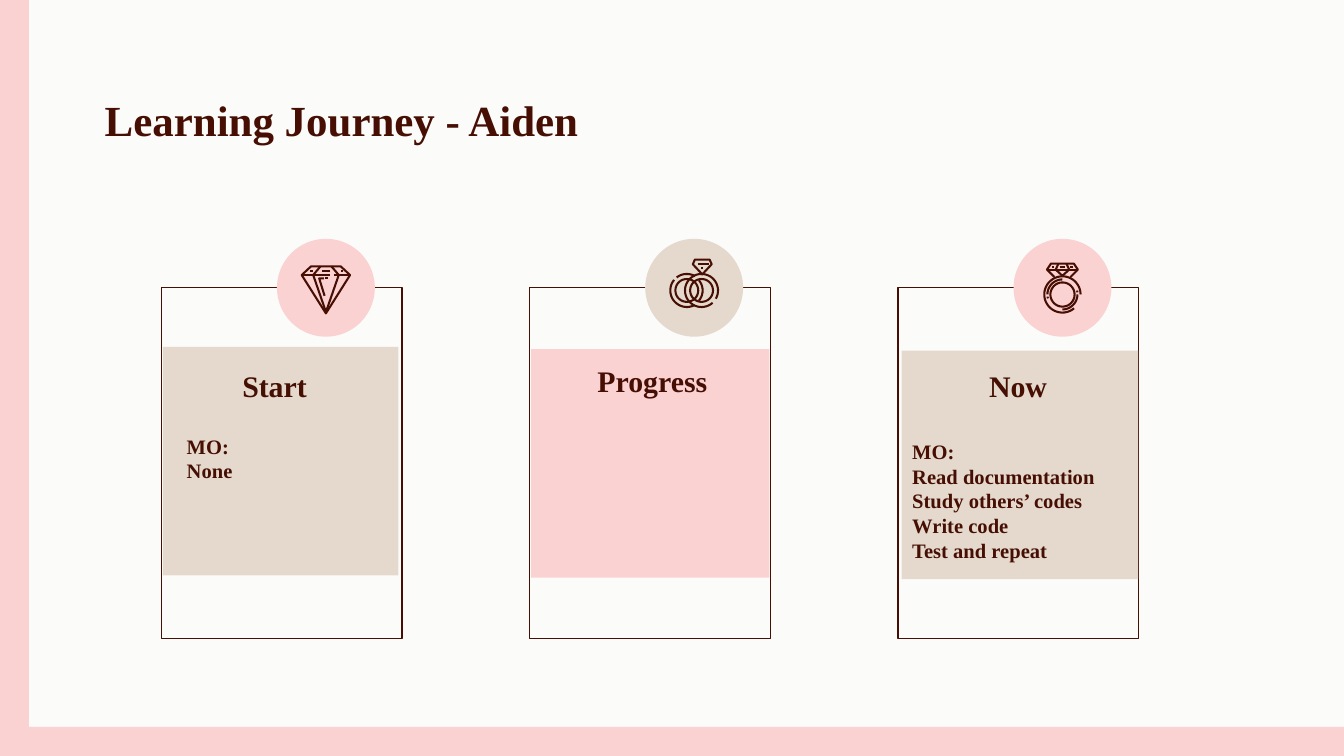
"""Build the learning journey slide with three milestone cards."""
from math import cos, radians, sin

from pptx import Presentation
from pptx import util as u
from pptx.dml.color import RGBColor
from pptx.enum import shapes, text

COLORS = {"paper": "FBFBFA", "pink": "FAD2D2", "sand": "E5D9CD", "brown": "470F03"}
FONT = "Times New Roman"
TITLE = "Learning Journey - Aiden"


def arc(x, y, radius, start=0, end=360):
    """Return points along an arc, in hundredths of an inch."""
    steps = max(6, (end - start) // 8)
    angles = [radians(start + (end - start) * i / steps) for i in range(steps + 1)]
    return [(x + radius * cos(a), y + radius * sin(a)) for a in angles]


DIAMOND = [
    [(-11, -16), (11, -16), (18, -9.5), (0, 19), (-18, -9.5), (-11, -16)],
    [(-4, -16), (-9.5, -9.5), (0, 18), (9.5, -9.5), (4, -16)],
    [(-18, -9.5), (3, -9.5)], [(6, -9.5), (18, -9.5)],
    [(-1.5, -7), (-5, -7), (-1, 6)], [(-0.5, -7), (1.5, -7)],
    [(-3, -12.5), (3, -12.5)], [(-12, -12.5), (-10, -12.5)], [(11, -12.5), (13, -12.5)],
]
RINGS = [
    [(0.5, -21), (11.5, -21), (13, -17.5), (6, -10), (-1, -17.5), (0.5, -21)],
    [(2.5, -17.5), (11, -17.5)], [(6, -15.5), (6, -14)],
    arc(-5.5, 2, 12.3, 62, 220), arc(-5.5, 2, 12.3, 232, 300),
    arc(-5.5, 2, 11.8, -40, 40), arc(-5.5, 2, 8.5),
    arc(5.5, 2, 12.3, 48, 390), arc(5.5, 2, 8.5),
]
RING = [
    [(-6, -8), (-11.5, -13.5), (-8.5, -18), (8.5, -18), (11.5, -13.5), (6, -8)],
    [(-11.5, -13.5), (11.5, -13.5)],
    [(-3, -18), (-5, -13.5), (0, -9), (5, -13.5), (3, -18)],
    [(-2, -15.5), (2, -15.5)], [(-7.5, -15.5), (-6, -15.5)], [(6, -15.5), (7.5, -15.5)],
    arc(0, 5, 13.5, 50, 360), arc(0, 5, 9),
    arc(0, 5, 11.2, 180, 270), arc(0, 5, 11.2, 0, 90),
    arc(0, 5, 11.2, 165, 172), arc(0, 5, 11.2, 345, 352),
]

STAGES = [
    {"heading": "Start", "heading_at": (3.4, 6.71), "panel": (3.08, 6.56, 4.45, 4.32),
     "panel_color": "sand", "badge_color": "pink", "icon": DIAMOND,
     "notes": ["MO:", "None"], "notes_at": (3.28, 7.95, 4.04, 3.58)},
    {"heading": "Progress", "heading_at": (10.54, 6.6), "panel": (10.04, 6.6, 4.5, 4.32),
     "panel_color": "pink", "badge_color": "sand", "icon": RINGS, "notes": []},
    {"heading": "Now", "heading_at": (17.45, 6.71), "panel": (17.04, 6.63, 4.47, 4.32),
     "panel_color": "sand", "badge_color": "pink", "icon": RING,
     "notes": ["MO:", "Read documentation", "Study others’ codes", "Write code",
               "Test and repeat"], "notes_at": (16.99, 8.05, 4.9, 3)},
]
WIDTH, HEIGHT, BAND = 25.4, 14.29, 0.55
CARD_LEFT, CARD_TOP, CARD_W, CARD_H, CARD_STEP = 3.05, 5.44, 4.55, 6.63, 6.96
BADGE, BADGE_OFFSET = 1.85, 3.11
ICON_UNIT = 0.0254

deck = Presentation()
deck.slide_width, deck.slide_height = u.Cm(WIDTH), u.Cm(HEIGHT)
slide = deck.slides.add_slide(deck.slide_layouts[6])


def color(name):
    return RGBColor.from_string(COLORS[name])


def style(shape, fill=None, line_width=None):
    shape.shadow.inherit = False
    if fill:
        shape.fill.solid()
        shape.fill.fore_color.rgb = color(fill)
    else:
        shape.fill.background()
    if line_width:
        shape.line.color.rgb = color("brown")
        shape.line.width = u.Pt(line_width)
    else:
        shape.line.fill.background()


def add_block(box, fill=None, line_width=None, kind=shapes.MSO_SHAPE.RECTANGLE):
    style(slide.shapes.add_shape(kind, *map(u.Cm, box)), fill, line_width)


def add_words(lines, box, size, align=text.PP_ALIGN.LEFT,
              anchor=text.MSO_ANCHOR.TOP, spacing=None):
    frame = slide.shapes.add_textbox(*map(u.Cm, box)).text_frame
    frame.word_wrap = True
    frame.vertical_anchor = anchor
    frame.margin_left = frame.margin_right = u.Cm(0.25)
    frame.margin_top = frame.margin_bottom = u.Cm(0.25)
    frame.text = "\n".join(lines)
    for paragraph in frame.paragraphs:
        paragraph.alignment = align
        paragraph.line_spacing = spacing
        for run in paragraph.runs:
            run.font.name, run.font.size, run.font.bold = FONT, u.Pt(size), True
            run.font.color.rgb = color("brown")


def add_icon(strokes, center_x, center_y):
    for stroke in strokes:
        points = [(u.Cm(center_x + x * ICON_UNIT), u.Cm(center_y + y * ICON_UNIT))
                  for x, y in stroke]
        builder = slide.shapes.build_freeform(*points[0])
        builder.add_line_segments(points[1:], close=False)
        style(builder.convert_to_shape(), line_width=1.1)


slide.background.fill.solid()
slide.background.fill.fore_color.rgb = color("paper")
add_block((0, HEIGHT - BAND, WIDTH, BAND), "pink")
add_block((0, 0, BAND, HEIGHT), "pink")
add_words([TITLE], (1.73, 1.45, 22.56, 1.6), 23, anchor=text.MSO_ANCHOR.MIDDLE)

for index, stage in enumerate(STAGES):
    left = CARD_LEFT + index * CARD_STEP
    badge_x = left + BADGE_OFFSET
    add_block((left, CARD_TOP, CARD_W, CARD_H), line_width=0.75)
    add_block(stage["panel"], stage["panel_color"])
    add_block((badge_x - BADGE / 2, CARD_TOP - BADGE / 2, BADGE, BADGE),
              stage["badge_color"], kind=shapes.MSO_SHAPE.OVAL)
    add_icon(stage["icon"], badge_x, CARD_TOP)
    add_words([stage["heading"]], (*stage["heading_at"], 3.58, 1.1), 16,
              text.PP_ALIGN.CENTER)
    if stage["notes"]:
        add_words(stage["notes"], stage["notes_at"], 11, spacing=u.Pt(13.2))

deck.save("out.pptx")
